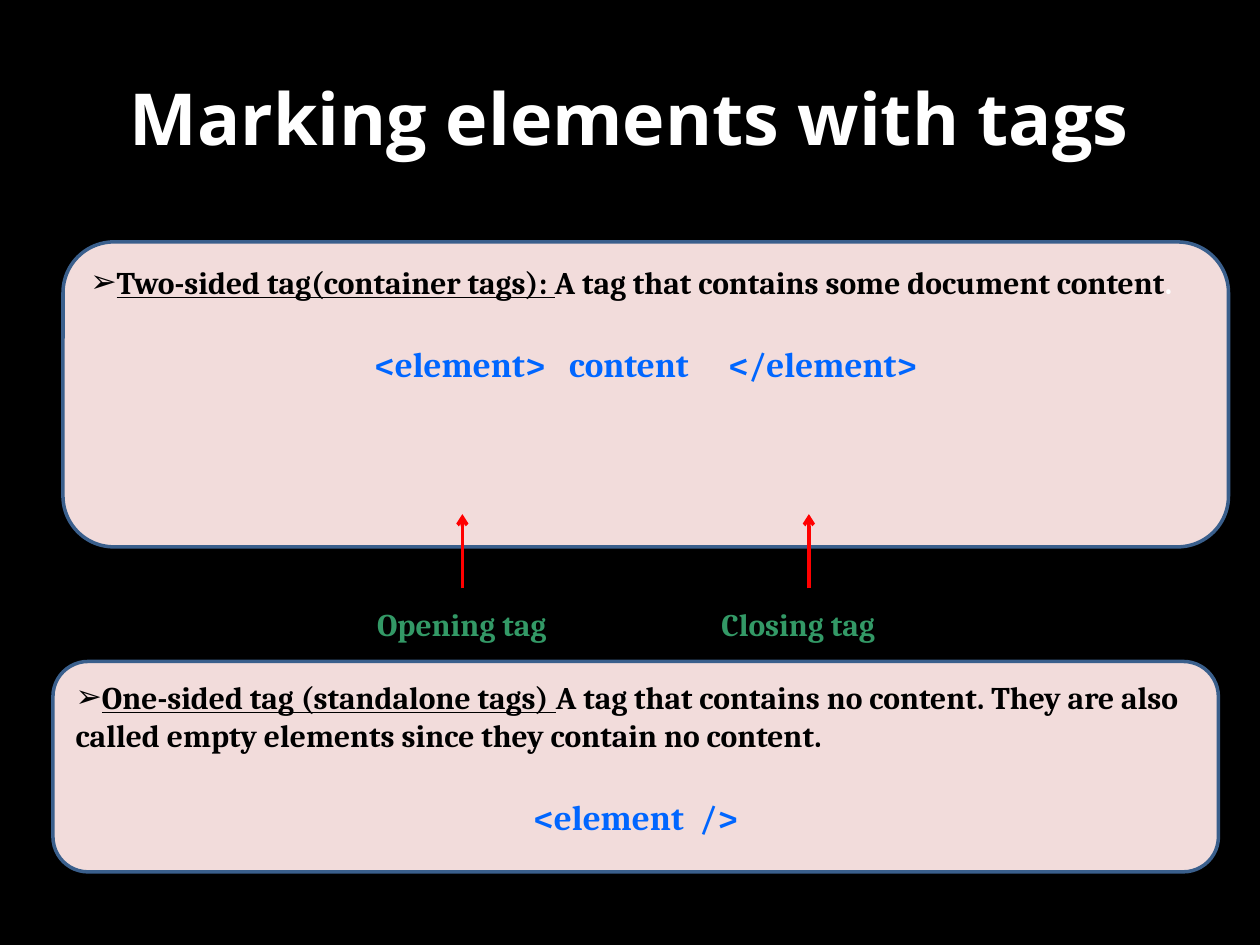
from lxml import etree
from pptx import Presentation
from pptx.dml.color import RGBColor
from pptx.enum.shapes import MSO_CONNECTOR, MSO_SHAPE
from pptx.enum.text import MSO_ANCHOR, MSO_AUTO_SIZE, PP_ALIGN
from pptx.oxml.ns import qn
from pptx.util import Inches, Pt

LEFT, CENTER = PP_ALIGN.LEFT, PP_ALIGN.CENTER
TOP, MIDDLE = MSO_ANCHOR.TOP, MSO_ANCHOR.MIDDLE
GROW = MSO_AUTO_SIZE.SHAPE_TO_FIT_TEXT
ROUNDED = MSO_SHAPE.ROUNDED_RECTANGLE
STRAIGHT = MSO_CONNECTOR.STRAIGHT

BLACK = RGBColor(0x00, 0x00, 0x00)
WHITE = RGBColor(0xFF, 0xFF, 0xFF)
PINK = RGBColor(0xF2, 0xDC, 0xDB)
NAVY = RGBColor(0x3A, 0x5F, 0x8C)
BLUE = RGBColor(0x00, 0x66, 0xFF)
RED = RGBColor(0xFF, 0x00, 0x00)
GREEN = RGBColor(0x33, 0x99, 0x66)

HEADING = dict(name="Open Sans", size=Pt(41), bold=True)
BODY = dict(name="Cambria", size=Pt(18), bold=True)
TERM = dict(BODY, underline=True)
CODE = dict(BODY, size=Pt(20))


class TagSlide:
    """Holds the style and the current slide."""

    line_width = Pt(2)
    code_gap = Pt(24)

    def __init__(self, deck):
        self.slide = deck.slides.add_slide(deck.slide_layouts[5])
        fill = self.slide.background.fill
        fill.solid()
        fill.fore_color.rgb = BLACK

    def add_span(self, para, text, style, color, spacing=0):
        span = para.add_run()
        span.text = text
        for name, value in style.items():
            setattr(span.font, name, value)
        span.font.color.rgb = color
        if spacing:
            span.font._element.set("spc", str(round(spacing * 100)))

    def title(self, text):
        box = self.slide.shapes.title
        box.left, box.top = Inches(0.5), Inches(0.3)
        box.width, box.height = Inches(9), Inches(1.25)
        box.text_frame.vertical_anchor = MIDDLE
        para = box.text_frame.paragraphs[0]
        para.alignment = CENTER
        self.add_span(para, text, HEADING, WHITE)

    def panel(self, left, top, height, definition, code):
        box = self.slide.shapes.add_shape(
            ROUNDED, Inches(left), Inches(top), Inches(9.25), Inches(height))
        box.shadow.inherit = False
        box.fill.solid()
        box.fill.fore_color.rgb = PINK
        box.line.color.rgb = NAVY
        box.line.width = self.line_width
        frame = box.text_frame
        frame.word_wrap = True
        frame.vertical_anchor = TOP

        # Bulleted definition
        para = frame.paragraphs[0]
        para.alignment = LEFT
        properties = para._p.get_or_add_pPr()
        etree.SubElement(properties, qn("a:buFont")).set("typeface", "Arial")
        etree.SubElement(properties, qn("a:buChar")).set("char", "➢")
        for text, style, color in definition:
            self.add_span(para, text, style, color)

        # Centred code; the spacing widens the gaps between its parts
        para = frame.add_paragraph()
        para.alignment = CENTER
        para.space_before = self.code_gap
        for text, spacing in code:
            self.add_span(para, text, CODE, BLUE, spacing)

    def arrow(self, x, bottom, top):
        line = self.slide.shapes.add_connector(
            STRAIGHT, Inches(x), Inches(bottom), Inches(x), Inches(top))
        line.line.color.rgb = RED
        line.line.width = self.line_width
        etree.SubElement(line.line._get_or_add_ln(), qn("a:tailEnd")).set("type", "arrow")
        etree.SubElement(line._element.spPr, qn("a:effectLst"))

    def label(self, left, text):
        box = self.slide.shapes.add_textbox(
            Inches(left), Inches(4.75), Inches(1.83), Inches(0.42))
        box.text_frame.word_wrap = True
        box.text_frame.auto_size = GROW
        para = box.text_frame.paragraphs[0]
        para.alignment = CENTER
        self.add_span(para, text, BODY, GREEN)


def main():
    deck = Presentation()
    deck.slide_width, deck.slide_height = Inches(10), Inches(7.5)
    page = TagSlide(deck)
    page.title("Marking elements with tags")

    # Definitions of the two kinds of tag
    page.panel(
        0.5, 1.92, 2.42,
        [("Two-sided tag(container tags): ", TERM, BLACK),
         ("A tag that contains some document content", BODY, BLACK),
         (".", BODY, WHITE)],
        [("<element>", 0), (" ", 9), ("content", 0), (" ", 18), ("</element>", 0)])
    page.panel(
        0.42, 5.25, 1.67,
        [("One-sided tag (standalone tags) ", TERM, BLACK),
         ("A tag that contains no content. They are also called empty "
          "elements since they contain no content.", BODY, BLACK)],
        [("<element", 0), (" ", 4.5), ("/>", 0)])

    # Labelled arrows to the opening and closing tags
    for x, left, text in [(3.67, 2.75, "Opening tag"), (6.42, 5.42, "Closing tag")]:
        page.arrow(x, 4.67, 4.08)
        page.label(left, text)

    deck.save("out.pptx")


if __name__ == "__main__":
    main()
